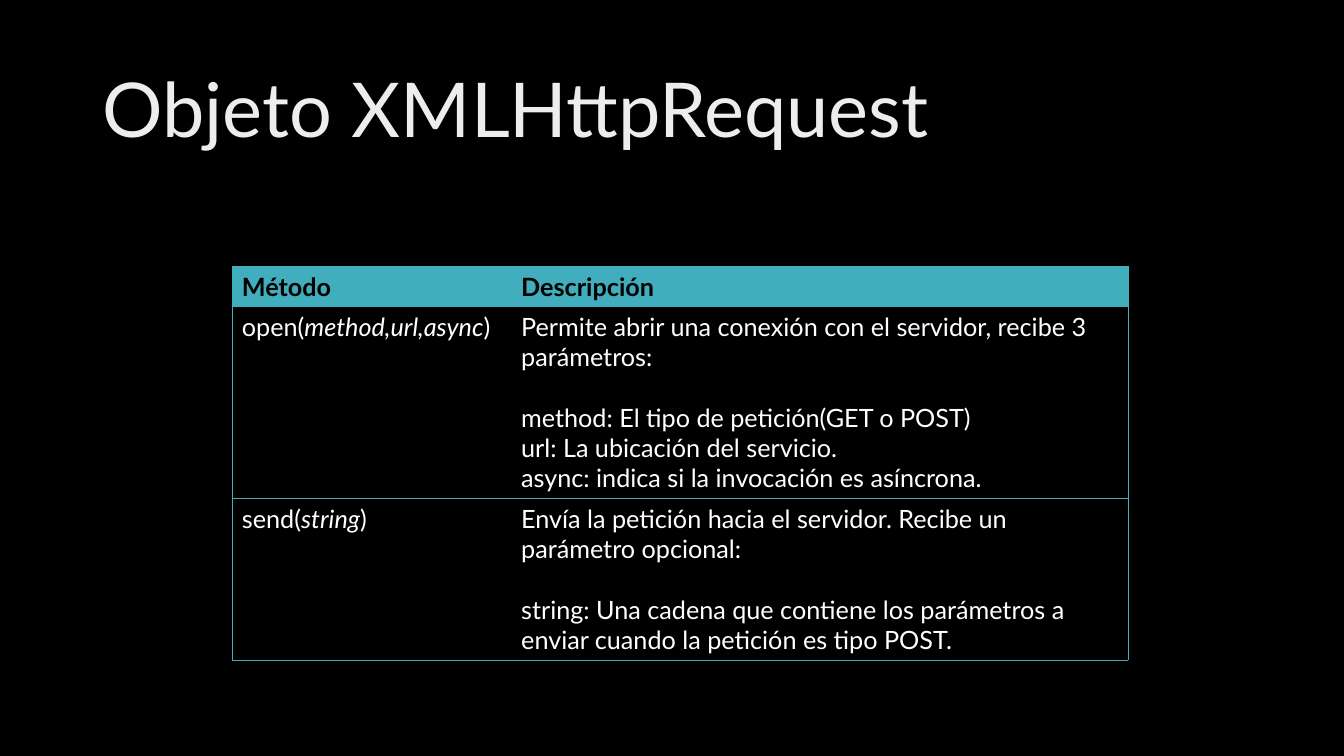
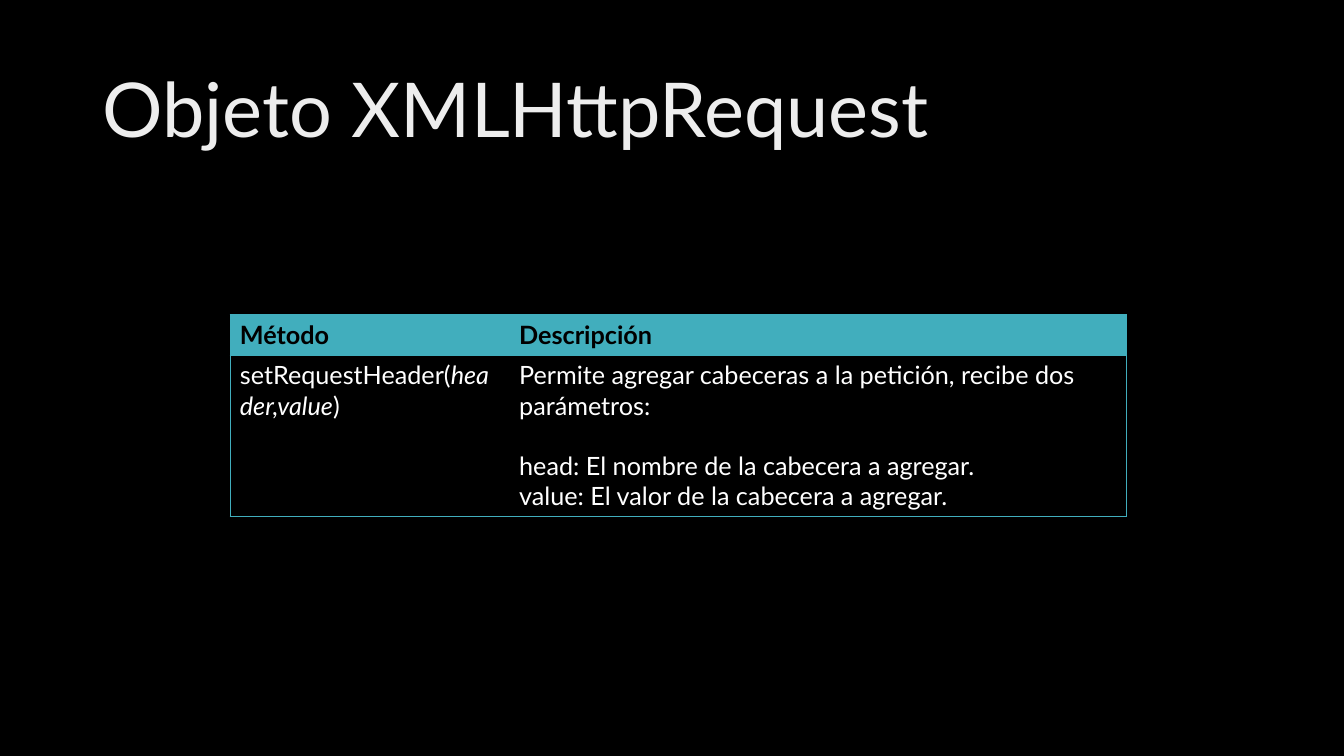
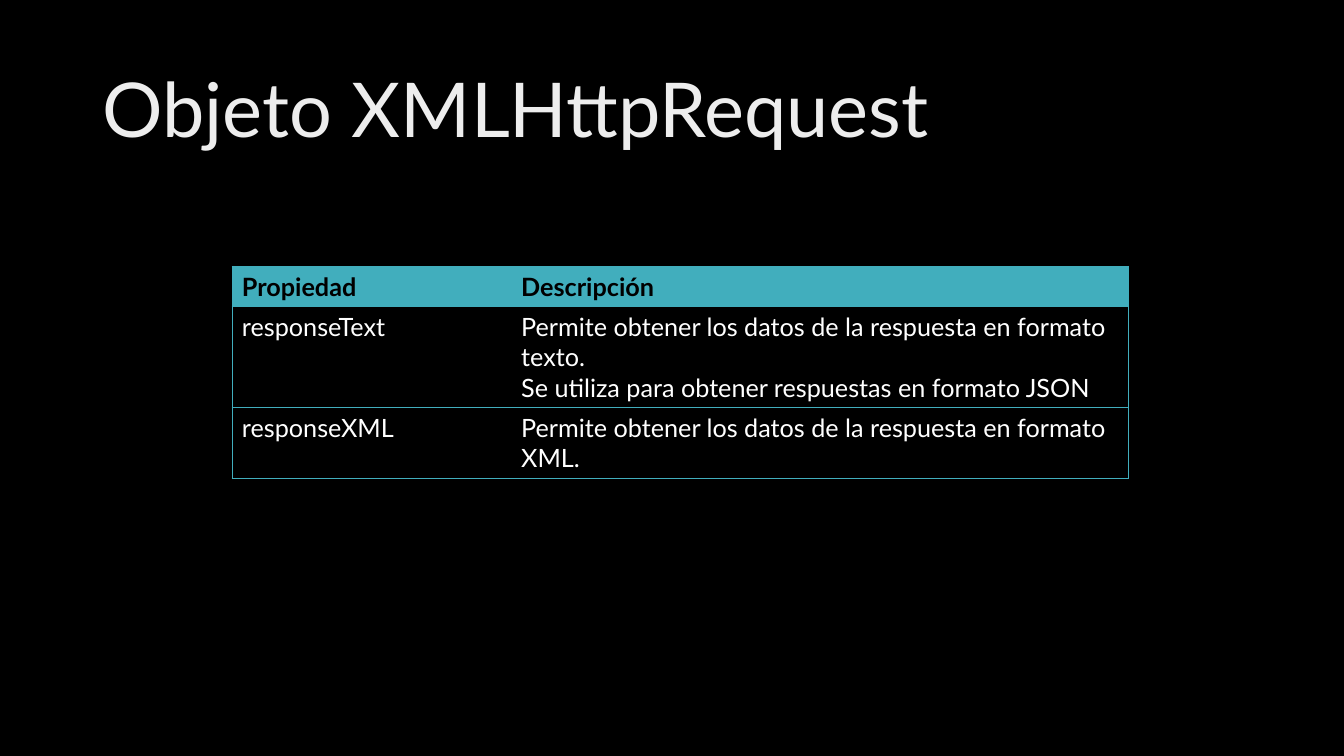
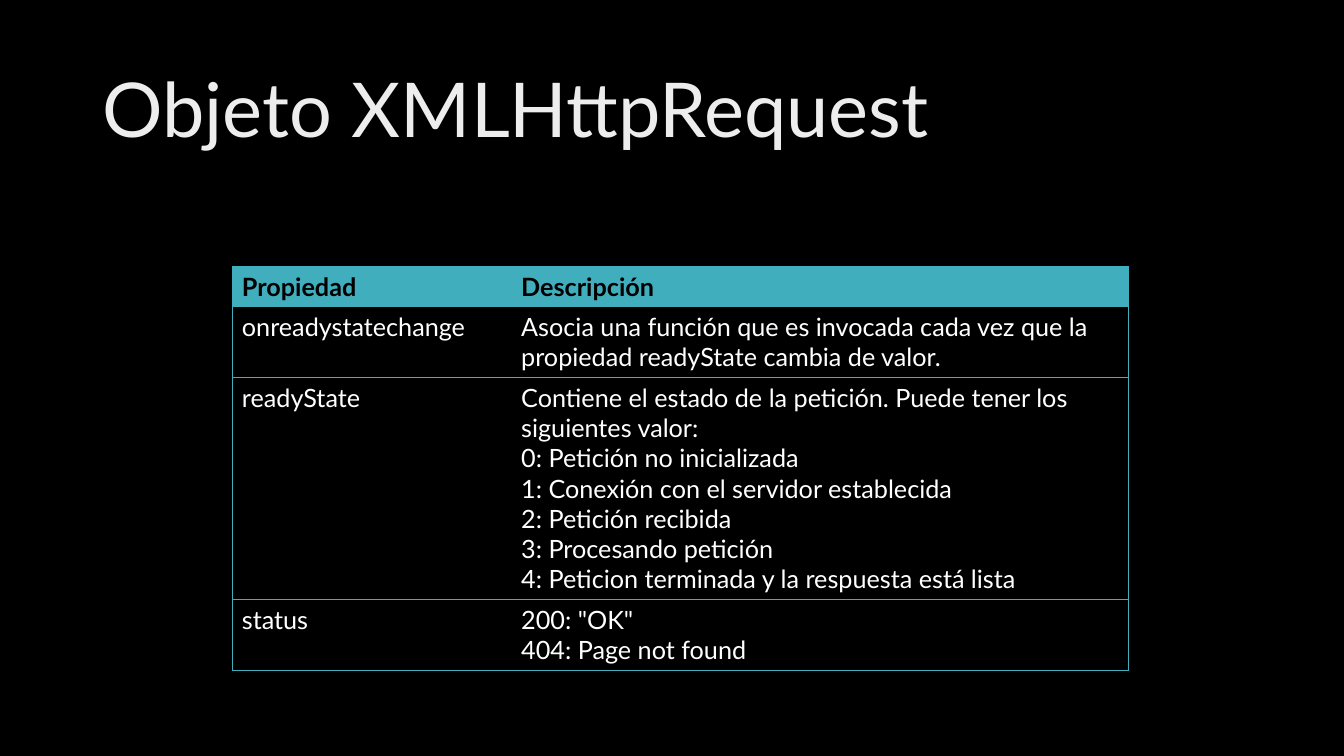
from collections import namedtuple
from dataclasses import dataclass

import pptx
import pptx.dml.color
import pptx.enum.text
import pptx.oxml
import pptx.oxml.ns
import pptx.util


@dataclass(frozen=True)
class Theme:
    font: str = "Lato"
    title_size: float = 54
    body_size: float = 18
    blank_line: float = 21.6
    rule_width: float = 0.5
    background: str = "000000"
    accent: str = "41AEBD"
    header_text: str = "000000"
    body_text: str = "FFFFFF"
    title_stops: tuple = ((0, "BFBFBF"), (28, "EDEDED"), (100, "FFFFFF"))
    title_angle: int = 80


THEME = Theme()
Box = namedtuple("Box", "left top width height")
Row = namedtuple("Row", "name description lines")

SLIDE_WIDTH = pptx.util.Inches(13.33)
SLIDE_HEIGHT = pptx.util.Inches(7.5)

# Places and sizes, in percent of the slide
TITLE_BOX = Box(6.9, 5.33, 86.25, 19.33)
TABLE_WIDTH = 66.69
NAME_COLUMN = 20.78
LINE_HEIGHT = 4
ROW_PADDING = 1.37

GAP = "\f"     # opens a paragraph that is set off by one blank line
ITALIC = "|"   # encloses the arguments of a method


def across(percent):
    return round(SLIDE_WIDTH * percent / 100)


def down(percent):
    return round(SLIDE_HEIGHT * percent / 100)


def rgb(color):
    return pptx.dml.color.RGBColor.from_string(color)


def fill_with_gradient(run, stops, angle):
    stop_xml = "".join(
        f'<a:gs pos="{place * 1000}"><a:srgbClr val="{color}"/></a:gs>'
        for place, color in stops)
    run._r.get_or_add_rPr().insert(0, pptx.oxml.parse_xml(
        f'<a:gradFill {pptx.oxml.ns.nsdecls("a")}><a:gsLst>{stop_xml}</a:gsLst>'
        f'<a:lin ang="{angle * 60000}" scaled="0"/></a:gradFill>'))


def write(frame, paragraphs, size=THEME.body_size, bold=False, color=None,
          gradient=None, line_spacing=None):
    """Fill a text frame; a newline in a paragraph is a line break."""
    for index, text in enumerate(paragraphs):
        paragraph = frame.add_paragraph() if index else frame.paragraphs[0]
        if text.startswith(GAP):
            paragraph.space_before = pptx.util.Pt(THEME.blank_line)
        if line_spacing:
            paragraph.line_spacing = line_spacing
        for number, line in enumerate(text.strip(GAP).split("\n")):
            if number:
                paragraph.add_line_break()
            for part, words in enumerate(line.split(ITALIC)):
                run = paragraph.add_run()
                run.text = words
                run.font.name = THEME.font
                run.font.size = pptx.util.Pt(size)
                run.font.bold = bold
                run.font.italic = part % 2 == 1
                if gradient:
                    fill_with_gradient(run, gradient, THEME.title_angle)
                else:
                    run.font.color.rgb = rgb(color)


def add_title(slide, text, box):
    title = slide.shapes.add_textbox(
        across(box.left), down(box.top), across(box.width), down(box.height))
    frame = title.text_frame
    frame.word_wrap = True
    frame.vertical_anchor = pptx.enum.text.MSO_ANCHOR.MIDDLE
    write(frame, [text], size=THEME.title_size, gradient=THEME.title_stops,
          line_spacing=0.9)


def rule_cell(cell, ruled_sides):
    """Draw the ruled sides of a cell and clear the others."""
    properties = cell._tc.get_or_add_tcPr()
    for side in "LRTB":
        paint = (f'<a:solidFill><a:srgbClr val="{THEME.accent}"/></a:solidFill>'
                 if side in ruled_sides else "<a:noFill/>")
        properties.append(pptx.oxml.parse_xml(
            f'<a:ln{side} {pptx.oxml.ns.nsdecls("a")} '
            f'w="{pptx.util.Pt(THEME.rule_width)}">{paint}</a:ln{side}>'))


def add_reference_table(slide, heading, entries, left, top):
    rows = [Row(heading, ["Descripción"], 1), *entries]
    heights = [down(row.lines * LINE_HEIGHT + ROW_PADDING) for row in rows]
    table = slide.shapes.add_table(
        len(rows), 2, across(left), down(top), across(TABLE_WIDTH),
        sum(heights)).table
    table.horz_banding = False
    table.columns[0].width = across(NAME_COLUMN)
    table.columns[1].width = across(TABLE_WIDTH - NAME_COLUMN)

    for index, (row, height) in enumerate(zip(rows, heights)):
        is_header = index == 0
        table.rows[index].height = height
        for column, paragraphs in enumerate(([row.name], row.description)):
            cell = table.cell(index, column)
            rule_cell(cell, "TB" + "LR"[column])
            if is_header:
                cell.fill.solid()
                cell.fill.fore_color.rgb = rgb(THEME.accent)
            else:
                cell.fill.background()
            write(cell.text_frame, paragraphs, bold=is_header,
                  color=THEME.header_text if is_header else THEME.body_text)


def add_reference_slide(deck, heading, entries, left=17.25, top=35.2):
    slide = deck.slides.add_slide(deck.slide_layouts[6])
    slide.background.fill.solid()
    slide.background.fill.fore_color.rgb = rgb(THEME.background)
    add_title(slide, "Objeto XMLHttpRequest", TITLE_BOX)
    add_reference_table(slide, heading, entries, left, top)


deck = pptx.Presentation()
deck.slide_width, deck.slide_height = SLIDE_WIDTH, SLIDE_HEIGHT

# Methods that open and send a request
add_reference_slide(deck, "Método", [
    Row("open(|method,url,async|)", [
        "Permite abrir una conexión con el servidor, recibe 3 parámetros:",
        GAP + "method: El tipo de petición(GET o POST)",
        "url: La ubicación del servicio.",
        "async: indica si la invocación es asíncrona."], 6),
    Row("send(|string|)", [
        "Envía la petición hacia el servidor. Recibe un parámetro opcional:",
        GAP + "string: Una cadena que contiene los parámetros a enviar cuando "
        "la petición es tipo POST."], 5),
])

# Method for the headers
add_reference_slide(deck, "Método", [
    Row("setRequestHeader(|header,value|)", [
        "Permite agregar cabeceras a la petición, recibe dos parámetros:",
        GAP + "head: El nombre de la cabecera a agregar.",
        "value: El valor de la cabecera a agregar."], 5),
], left=17.1, top=41.6)

# Properties of the response
add_reference_slide(deck, "Propiedad", [
    Row("responseText", [
        "Permite obtener los datos de la respuesta en formato texto.",
        "Se utiliza para obtener respuestas en formato JSON"], 3),
    Row("responseXML", [
        "Permite obtener los datos de la respuesta en formato XML."], 2),
])

# Properties of the state
add_reference_slide(deck, "Propiedad", [
    Row("onreadystatechange", [
        "Asocia una función que es invocada cada vez que la propiedad "
        "readyState cambia de valor."], 2),
    Row("readyState", [
        "Contiene el estado de la petición. Puede tener los siguientes valor:\n"
        "0: Petición no inicializada\n"
        "1: Conexión con el servidor establecida\n"
        "2: Petición recibida\n"
        "3: Procesando petición\n"
        "4: Peticion terminada y la respuesta está lista"], 7),
    Row("status", ['200: "OK"\n404: Page not found'], 2),
])

deck.save("out.pptx")
